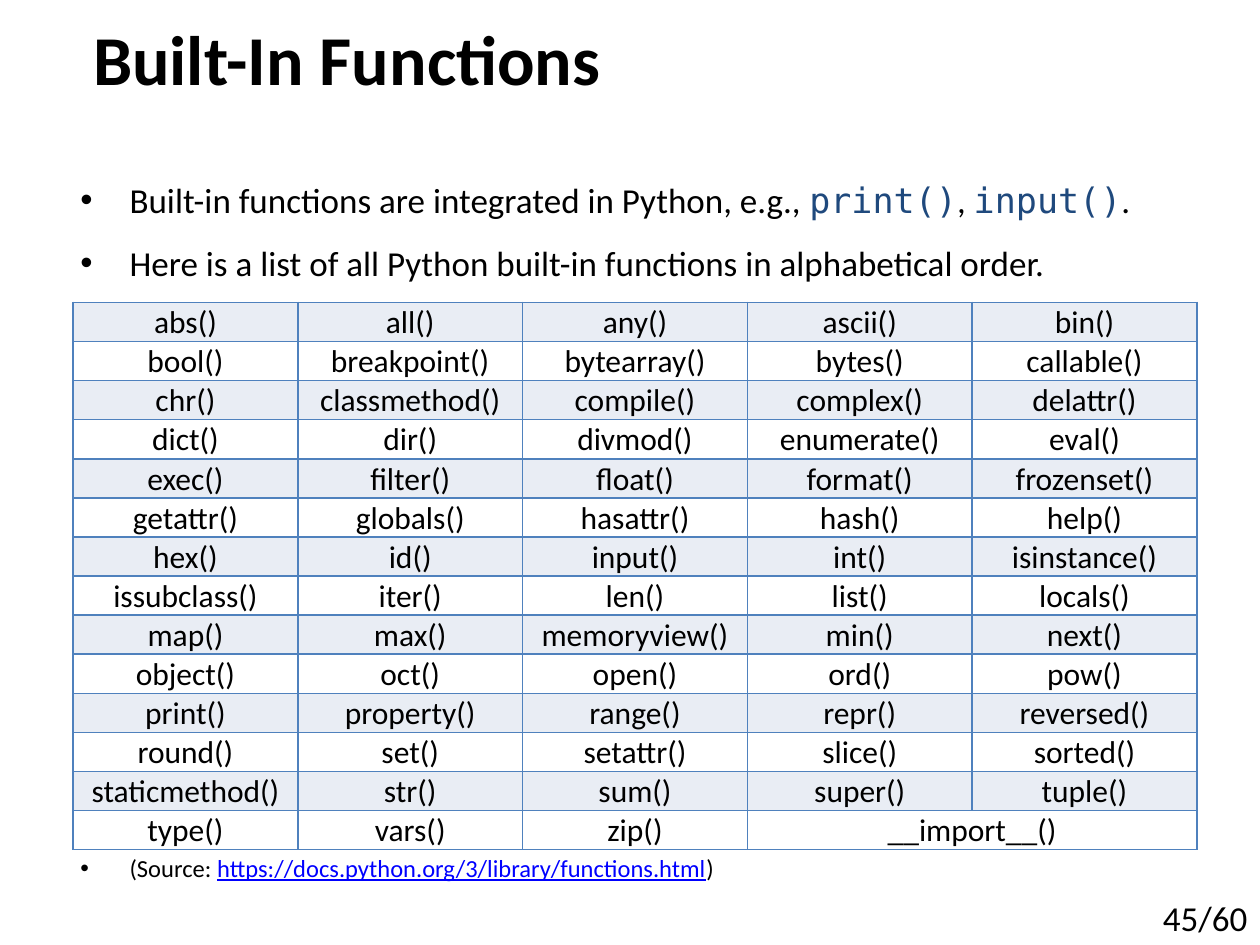
from dataclasses import dataclass

from lxml.etree import SubElement
from pptx import Presentation
from pptx.dml.color import RGBColor
from pptx.enum.text import MSO_ANCHOR, PP_ALIGN
from pptx.oxml.ns import qn
from pptx.util import Inches, Pt

BLACK = RGBColor(0x00, 0x00, 0x00)
WHITE = RGBColor(0xFF, 0xFF, 0xFF)
NAVY = RGBColor(0x1F, 0x49, 0x7D)
LINK_BLUE = RGBColor(0x00, 0x00, 0xFF)
BORDER_BLUE = RGBColor(0x4F, 0x81, 0xBD)
BAND = RGBColor(0xE9, 0xED, 0xF4)

SANS = "Calibri"
MONO = "DejaVu Sans Mono"
COLUMNS = 5

FUNCTIONS = """
abs all any ascii bin
bool breakpoint bytearray bytes callable
chr classmethod compile complex delattr
dict dir divmod enumerate eval
exec filter float format frozenset
getattr globals hasattr hash help
hex id input int isinstance
issubclass iter len list locals
map max memoryview min next
object oct open ord pow
print property range repr reversed
round set setattr slice sorted
staticmethod str sum super tuple
type vars zip __import__
""".split()


@dataclass(frozen=True)
class Span:
    text: str
    size: float = 20
    font: str = SANS
    color: RGBColor = BLACK
    bold: bool = False
    underline: bool = False


@dataclass(frozen=True)
class TextBox:
    left: float
    top: float
    width: float
    height: float
    paragraphs: list[list[Span]]
    anchor: MSO_ANCHOR = MSO_ANCHOR.TOP
    align: PP_ALIGN = PP_ALIGN.LEFT
    wrap: bool = True
    bulleted: bool = False


def code(text: str) -> Span:
    return Span(text, font=MONO, color=NAVY)


TEXT_BOXES = [
    TextBox(8.63, 6.96, 1.37, 0.54, [[Span("45/60")]],
            MSO_ANCHOR.BOTTOM, PP_ALIGN.RIGHT, wrap=False),
    TextBox(0.64, 0, 8.86, 0.92,
            [[Span("Built-In Functions", size=40, bold=True)]], MSO_ANCHOR.MIDDLE),
    TextBox(0.54, 1.37, 9.26, 1, [
        [Span("Built-in functions are integrated in Python, e.g., "),
         code("print()"), Span(", "), code("input()"), Span(".")],
        [Span("Here is a list of all Python built-in functions in alphabetical order.")],
    ], bulleted=True),
    TextBox(0.54, 6.72, 8, 0.34, [
        [Span("(Source: ", size=14),
         Span("https://docs.python.org/3/library/functions.html", size=14,
              color=LINK_BLUE, underline=True),
         Span(")", size=14)],
    ], bulleted=True),
]


def add_span(p, span: Span) -> None:
    r = p.add_run()
    r.text = span.text
    r.font.size = Pt(span.size)
    r.font.name = span.font
    r.font.color.rgb = span.color
    r.font.bold = span.bold
    r.font.underline = span.underline


def add_bullet(p) -> None:
    p.space_before = Pt(12)
    pPr = p._p.get_or_add_pPr()
    pPr.set("marL", str(Inches(0.39)))
    pPr.set("indent", str(-Inches(0.39)))
    SubElement(pPr, qn("a:buFont"), typeface="Arial")
    SubElement(pPr, qn("a:buChar"), char="•")


def add_text_box(slide, box: TextBox) -> None:
    sp = slide.shapes.add_textbox(Inches(box.left), Inches(box.top),
                                  Inches(box.width), Inches(box.height))
    tf = sp.text_frame
    tf.word_wrap = box.wrap
    tf.vertical_anchor = box.anchor
    for i, spans in enumerate(box.paragraphs):
        p = tf.add_paragraph() if i else tf.paragraphs[0]
        p.alignment = box.align
        if box.bulleted:
            add_bullet(p)
        for span in spans:
            add_span(p, span)


def style_cell(cell, fill: RGBColor) -> None:
    cell.vertical_anchor = MSO_ANCHOR.MIDDLE
    cell.margin_left = cell.margin_top = cell.margin_right = Inches(0.01)
    cell.margin_bottom = 0
    tcPr = cell._tc.get_or_add_tcPr()
    for side in ("lnL", "lnR", "lnT", "lnB"):
        ln = SubElement(tcPr, qn(f"a:{side}"), w=str(Pt(1)))
        SubElement(SubElement(ln, qn("a:solidFill")), qn("a:srgbClr"), val=str(BORDER_BLUE))
    cell.fill.solid()
    cell.fill.fore_color.rgb = fill


def add_function_table(slide) -> None:
    rows = -(-len(FUNCTIONS) // COLUMNS)
    table = slide.shapes.add_table(rows, COLUMNS, Inches(0.58), Inches(2.4),
                                   Inches(8.92), Inches(0.31 * rows)).table
    table.first_row = False
    table.horz_banding = False
    for i in range(rows * COLUMNS):
        row, col = divmod(i, COLUMNS)
        cell = table.cell(row, col)
        style_cell(cell, WHITE if row % 2 else BAND)
        if i < len(FUNCTIONS):
            p = cell.text_frame.paragraphs[0]
            p.alignment = PP_ALIGN.CENTER
            add_span(p, Span(f"{FUNCTIONS[i]}()", size=18))
    last_row, last_col = divmod(len(FUNCTIONS) - 1, COLUMNS)
    table.cell(last_row, last_col).merge(table.cell(last_row, COLUMNS - 1))


prs = Presentation()
prs.slide_width = Inches(10)
prs.slide_height = Inches(7.5)
slide = prs.slides.add_slide(prs.slide_layouts[6])
for box in TEXT_BOXES:
    add_text_box(slide, box)
add_function_table(slide)
prs.save("out.pptx")
